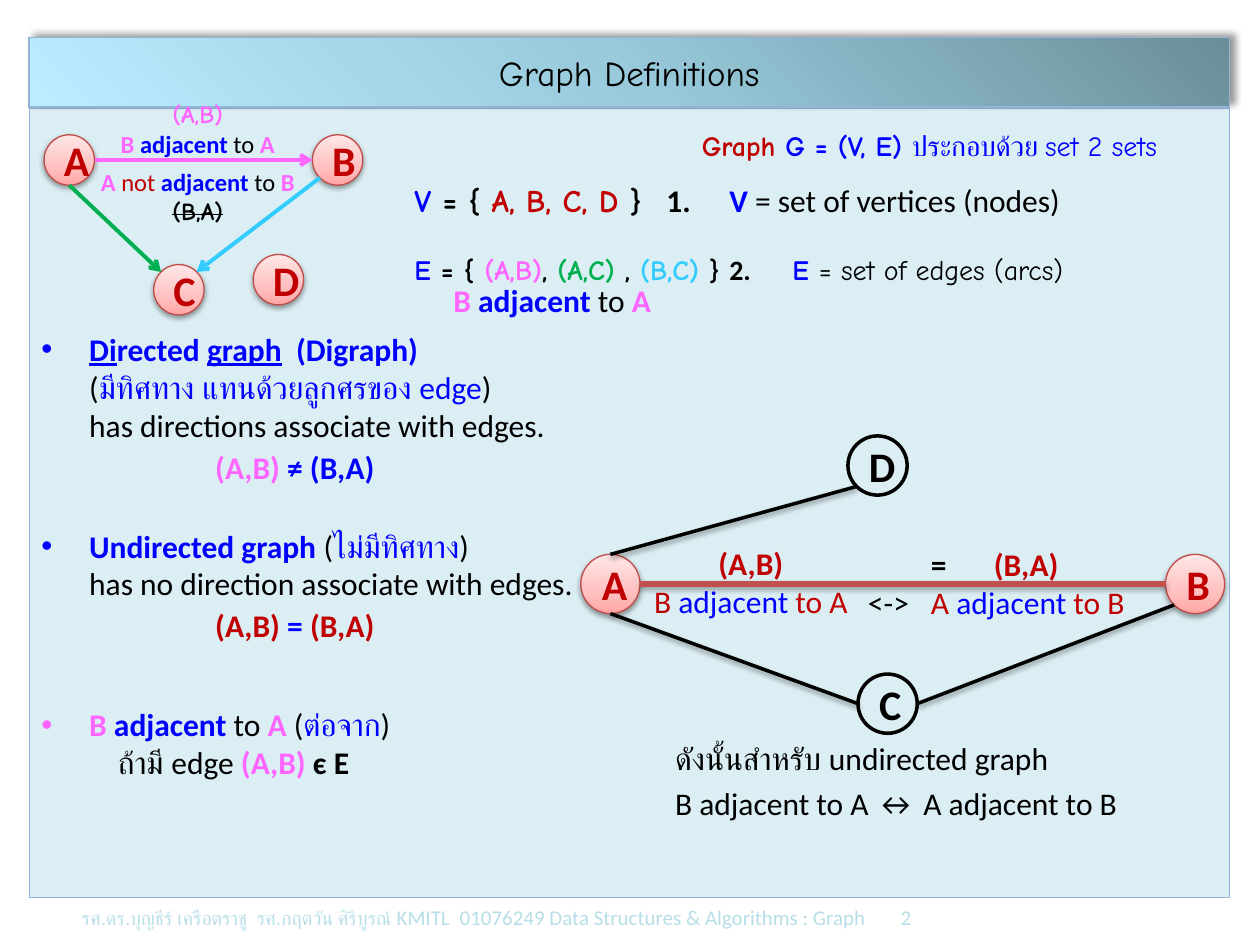
"""Builds the Graph Definitions slide with a directed and an undirected example graph."""
import lxml.etree
import pptx
import pptx.dml.color
import pptx.enum.shapes
import pptx.enum.text
import pptx.oxml
import pptx.oxml.ns
import pptx.util

Inches, Pt = pptx.util.Inches, pptx.util.Pt
qn = pptx.oxml.ns.qn
ALIGN = pptx.enum.text.PP_ALIGN
ANCHOR = pptx.enum.text.MSO_ANCHOR
SHAPE = pptx.enum.shapes.MSO_SHAPE
NSDECL = 'xmlns:a="http://schemas.openxmlformats.org/drawingml/2006/main"'

COLORS = {
    "black": "000000", "blue": "0000FF", "red": "C00000", "pink": "FF66FF",
    "green": "00B050", "sky": "33CCFF", "footer": "B7DEE8", "panel": "DBEEF4",
    "border": "95B3D7", "node line": "BF4C48", "edge": "C0504D",
}
TITLE_FILL = ([(0, "6A8E9A"), (50, "98CADB"), (100, "B9EDFF")], 135)
NODE_FILL = ([(0, "FFA6A5"), (35, "FFC0BF"), (100, "FFE7E7")], 270)
TITLE_SHADOW = (40, 4, 3, 315)
SOFT_SHADOW = (38, 3.1, 1.6, 90)

CALIBRI, COMIC = "Calibri", "Comic Neue"
BULLET = {"indent": (0.38, -0.38), "bullet": True, "before": 4}
SUBLINE = {"indent": (0.88, -0.38), "before": 4}
CENTER = {"align": ALIGN.CENTER}

# Run: text, colour, flags (b bold, u underline, s strike), optional font and size.
TITLE = [({**CENTER, "before": 0}, [("Graph Definitions", "black", "", COMIC, 20)])]
DEFINITION = [({"indent": (0, 0), "before": 3}, [
    ("Graph ", "red", "b", COMIC, 16), ("G = (V, E) ", "blue", "b", COMIC, 16),
    ("ประกอบด้วย set 2 sets", "blue", "", COMIC, 16)])]

B_ADJACENT_A = [("B ", "pink", "b"), ("adjacent", "blue", "b"),
                (" to ", "black"), ("A", "pink", "b")]

FOOTER = ((0.55, 7.13, 8.98, 0.37), True, [
    ({"tabs": [(2.67, "l"), (3.27, "l"), (8.54, "r")]}, [
        ("รศ.ดร.บุญธีร์ เครือตราชู  รศ.กฤตวัน ศิริบูรณ์", "footer", "", "Arial", 11),
        ("\tKMITL\t01076249 Data Structures & Algorithms : Graph\t2",
         "footer", "", CALIBRI, 12)])])

# Text: left, top, width, height; wrap; paragraphs.
TEXTS = [
    FOOTER,
    ((0.23, 2.57, 6.74, 0.79), True, [(BULLET, [
        ("Di", "blue", "bu"), ("rected ", "blue", "b"), ("graph", "blue", "bu"),
        ("  (Digraph)\n", "blue", "b"), ("(", "black"),
        ("มีทิศทาง แทนด้วยลูกศรของ edge", "blue"),
        (")\nhas directions associate with edges.", "black")])]),
    ((0.23, 5.55, 3.27, 0.8), True, [
        (BULLET, B_ADJACENT_A + [(" (", "black"), ("ต่อจาก", "blue"), (")", "black")]),
        ({"indent": (0.61, 0)}, [("ถ้ามี edge ", "black"), ("(A,B) ", "pink", "b"),
                                 ("є E", "black", "b")])]),
    ((0.23, 4.13, 4.53, 0.79), True, [(BULLET, [
        ("Undirected graph ", "blue", "b"), ("(", "black"), ("ไม่มีทิศทาง", "blue"),
        (")\nhas no direction associate with edges.", "black")])]),
    ((5.08, 4.27, 1.76, 0.71), False, [
        (CENTER, [("(A,B)", "red", "b")]),
        (CENTER, [("B ", "red"), ("adjacent", "blue"), (" to A", "red")])]),
    ((6.79, 4.28, 2.32, 0.71), True, [
        ({"tabs": [(0.11, "l"), (0.86, "l")]},
         [("\t=", "black", "b"), ("\t(B,A)", "red", "b")]),
        ({"tabs": [(0.55, "l")]},
         [("<->", "black"), ("\tA ", "red"), ("adjacent", "blue"), (" to B", "red")])]),
    ((3.19, 1.39, 6.81, 0.4), True, [({"tabs": [(2.4, "l"), (2.81, "l")]}, [
        ("V", "blue", "b", COMIC), (" = { ", "black", "b", COMIC),
        ("A, B, C, D ", "red", "b", COMIC), ("}", "black", "b", COMIC),
        ("\t1.", "black", "b"), ("\tV ", "blue", "b"),
        ("= set of vertices (nodes)", "black")])]),
    ((3.19, 1.82, 6.49, 0.5), True, [
        ({"tabs": [(3.69, "l"), (4.06, "l")], "before": 3, "spacing": 1.5}, [
            ("E ", "blue", "b", COMIC, 16), ("= { ", "black", "b", COMIC, 16),
            ("(A,B)", "pink", "b", COMIC, 16), (",", "black", "b", COMIC, 16),
            (" (A,C) ", "green", "b", COMIC, 16), (", ", "black", "b", COMIC, 16),
            ("(B,C)", "sky", "b", COMIC, 16), (" }", "black", "b", COMIC, 16),
            ("\t2.", "black", "b", CALIBRI, 16), ("\tE ", "blue", "b", COMIC, 16),
            ("= set of edges (arcs)", "black", "", COMIC, 16)])]),
    ((1.61, 3.51, 1.48, 0.4), False, [
        ({}, [("(A,B) ", "pink", "b"), ("≠ (B,A)", "blue", "b")])]),
    ((1.61, 4.76, 1.48, 0.4), False, [
        ({}, [("(A,B)", "red", "b"), (" = ", "blue", "b"), ("(B,A)", "red", "b")])]),
    ((4.76, 5.82, 4.41, 0.77), True, [
        (SUBLINE, [("ดังนั้นสำหรับ undirected graph", "black")]),
        (SUBLINE, [("B adjacent to A ↔ A adjacent to B", "black")])]),
    ((3.5, 2.18, 1.84, 0.4), False, [({}, B_ADJACENT_A)]),
    ((0.65, 0.74, 1.84, 1.11), False, [
        (CENTER, [("(A,B)", "pink", "b", COMIC, 14)]),
        (CENTER, [(*run, CALIBRI, 14) if len(run) == 3 else (*run, "", CALIBRI, 14)
                  for run in B_ADJACENT_A]),
        ({**CENTER, "before": 5}, [
            ("A ", "pink", "b", CALIBRI, 14), ("not ", "red", "", CALIBRI, 14),
            ("adjacent", "blue", "b", CALIBRI, 14), (" to ", "black", "", CALIBRI, 14),
            ("B", "pink", "b", CALIBRI, 14)]),
        (CENTER, [("(B,A)", "black", "bs", COMIC, 14)])]),
]

# Graph: node diameter; node -> left, top, filled; edges with compass sites.
GRAPHS = [
    {"size": 0.47, "arrow": False, "shadow": SOFT_SHADOW,
     "nodes": {"A": (4.61, 4.4, True), "B": (9.25, 4.4, True),
               "C": (6.81, 5.35, False), "D": (6.73, 3.46, False)},
     "edges": [("A", "E", "B", "W", "edge", 3), ("A", "N", "D", "SW", "black", 2),
               ("A", "S", "C", "W", "black", 2), ("C", "E", "B", "SW", "black", 2)]},
    {"size": 0.4, "arrow": True, "shadow": None,
     "nodes": {"A": (0.35, 1.07, True), "B": (2.48, 1.07, True),
               "C": (1.22, 2.1, True), "D": (2.01, 2.02, True)},
     "edges": [("A", "E", "B", "W", "pink", 2.25), ("A", "S", "C", "NW", "green", 2.25),
               ("B", "SW", "C", "NE", "sky", 2.25)]},
]


def rgb(name):
    return pptx.dml.color.RGBColor.from_string(COLORS[name])


def place(shape, box):
    for side, value in zip(("left", "top", "width", "height"), box):
        setattr(shape, side, Inches(value))


def outline(shape, color, width):
    shape.line.color.rgb = rgb(color)
    shape.line.width = Pt(width)


def add_shadow(shape, shadow):
    effects = lxml.etree.SubElement(shape.element.spPr, qn("a:effectLst"))
    if shadow:
        alpha, blur, distance, angle = shadow
        effects.append(pptx.oxml.parse_xml(
            f'<a:outerShdw {NSDECL} blurRad="{Pt(blur)}" dist="{Pt(distance)}" '
            f'dir="{angle * 60000}" rotWithShape="0"><a:srgbClr val="000000">'
            f'<a:alpha val="{alpha * 1000}"/></a:srgbClr></a:outerShdw>'))


def fill_gradient(shape, gradient):
    stops, angle = gradient
    shape.fill.gradient()
    fill = shape.element.spPr.find(qn("a:gradFill"))
    marks = "".join(f'<a:gs pos="{at * 1000}"><a:srgbClr val="{color}"/></a:gs>'
                    for at, color in stops)
    fill.getparent().replace(fill, pptx.oxml.parse_xml(
        f'<a:gradFill {NSDECL} rotWithShape="1"><a:gsLst>{marks}</a:gsLst>'
        f'<a:lin ang="{angle * 60000}" scaled="0"/></a:gradFill>'))


def add_run(paragraph, text, color, flags="", font=CALIBRI, size=18):
    for i, line in enumerate(text.split("\n")):
        if i:
            paragraph.add_line_break()
        run = paragraph.add_run()
        run.text = line
        values = {"name": font, "size": Pt(size), "bold": "b" in flags, "underline": "u" in flags}
        for key, value in values.items():
            setattr(run.font, key, value)
        run.font.color.rgb = rgb(color)
        if "s" in flags:
            run.font._element.set("strike", "sngStrike")


def write(frame, paragraphs, wrap=True, anchor=ANCHOR.TOP):
    values = {"word_wrap": wrap, "vertical_anchor": anchor,
              "auto_size": pptx.enum.text.MSO_AUTO_SIZE.NONE}
    for key, value in values.items():
        setattr(frame, key, value)
    for i, (layout, runs) in enumerate(paragraphs):
        paragraph = frame.add_paragraph() if i else frame.paragraphs[0]
        values = {"alignment": layout.get("align", ALIGN.LEFT),
                  "space_before": Pt(layout.get("before", 0)),
                  "line_spacing": layout.get("spacing", 1.0)}
        for key, value in values.items():
            setattr(paragraph, key, value)
        properties = paragraph._p.get_or_add_pPr()
        for key, value in zip(("marL", "indent"), layout.get("indent", (0, 0))):
            properties.set(key, str(Inches(value)))
        if layout.get("bullet"):
            lxml.etree.SubElement(properties, qn("a:buFont"), typeface="Arial")
            lxml.etree.SubElement(properties, qn("a:buChar"), char="•")
        else:
            lxml.etree.SubElement(properties, qn("a:buNone"))
        if "tabs" in layout:
            tabs = lxml.etree.SubElement(properties, qn("a:tabLst"))
            for at, kind in layout["tabs"]:
                lxml.etree.SubElement(tabs, qn("a:tab"), pos=str(Inches(at)), algn=kind)
        for run in runs:
            add_run(paragraph, *run)


def site(graph, node, compass):
    left, top, _ = graph["nodes"][node]
    radius = graph["size"] / 2
    reach = radius * (0.707 if len(compass) == 2 else 1)
    x = left + radius + reach * (("E" in compass) - ("W" in compass))
    y = top + radius + reach * (("S" in compass) - ("N" in compass))
    return Inches(x), Inches(y)


def draw_graph(shapes, graph):
    for label, (left, top, filled) in graph["nodes"].items():
        node = shapes.add_shape(SHAPE.OVAL, *map(Inches, (left, top, graph["size"], graph["size"])))
        if filled:
            fill_gradient(node, NODE_FILL)
        else:
            node.fill.background()
        outline(node, *(("node line", 0.75) if filled else ("black", 2)))
        add_shadow(node, SOFT_SHADOW if filled else None)
        write(node.text_frame, [(CENTER, [(label, "red" if filled else "black", "b", CALIBRI, 24)])],
              anchor=ANCHOR.MIDDLE)
    for start, leave, end, arrive, color, width in graph["edges"]:
        edge = shapes.add_connector(pptx.enum.shapes.MSO_CONNECTOR.STRAIGHT,
                                    *site(graph, start, leave), *site(graph, end, arrive))
        outline(edge, color, width)
        if graph["arrow"]:
            lxml.etree.SubElement(edge.line._get_or_add_ln(), qn("a:tailEnd"), type="arrow")
        add_shadow(edge, graph["shadow"])


def main():
    deck = pptx.Presentation()
    deck.slide_width, deck.slide_height = Inches(10), Inches(7.5)
    slide = deck.slides.add_slide(deck.slide_layouts[1])
    shapes = slide.shapes

    panel = shapes.add_shape(SHAPE.RECTANGLE, *map(Inches, (0.23, 0.86, 9.53, 6.26)))
    panel.fill.solid()
    panel.fill.fore_color.rgb = rgb("panel")
    panel.shadow.inherit = False
    outline(panel, "border", 0.25)
    panel.element.getparent().insert(2, panel.element)

    title, definition = shapes.title, slide.placeholders[1]
    place(title, (0.23, 0.3, 9.53, 0.55))
    fill_gradient(title, TITLE_FILL)
    outline(title, "border", 0.75)
    add_shadow(title, TITLE_SHADOW)
    write(title.text_frame, TITLE, anchor=ANCHOR.MIDDLE)
    place(definition, (5.47, 0.97, 4.37, 0.41))
    write(definition.text_frame, DEFINITION)

    for graph in GRAPHS:
        draw_graph(shapes, graph)
    for box, wrap, paragraphs in TEXTS:
        write(shapes.add_textbox(*map(Inches, box)).text_frame, paragraphs, wrap)
    deck.save("out.pptx")


if __name__ == "__main__":
    main()
